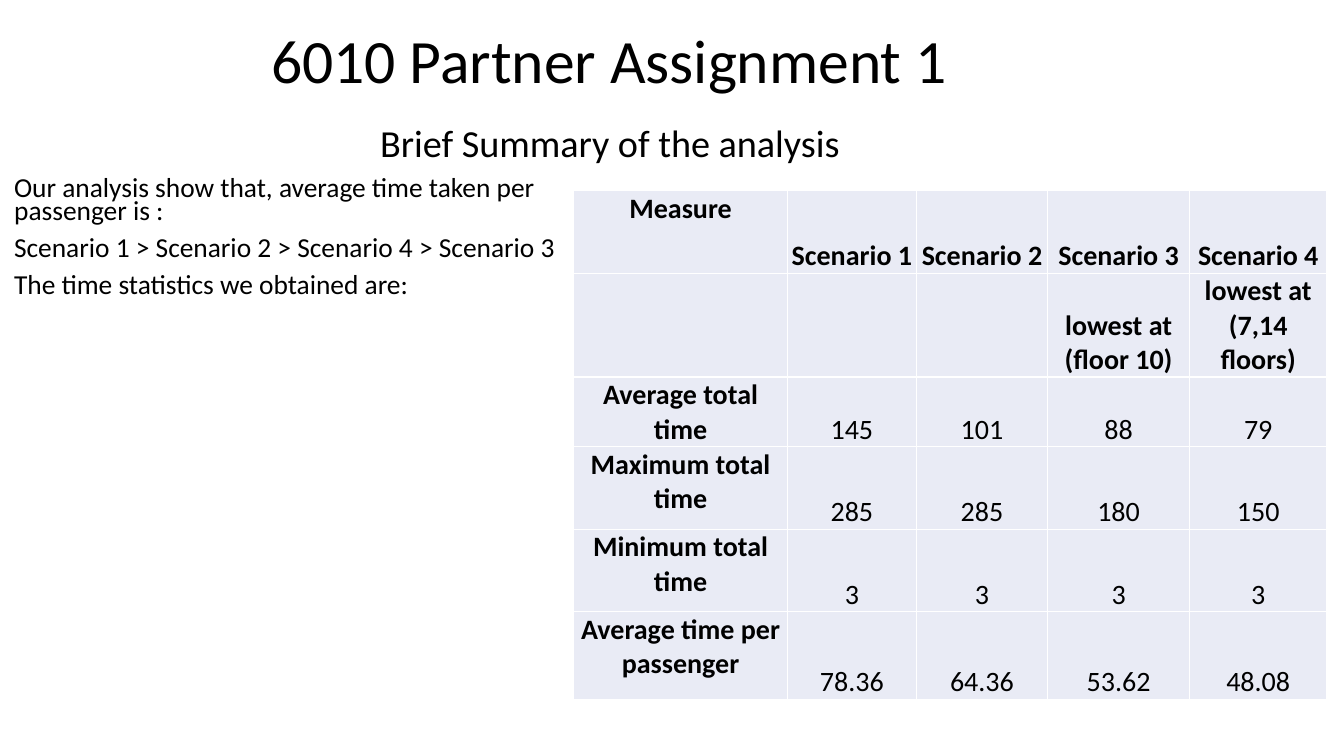
from lxml import etree
from pptx import Presentation
from pptx.dml.color import RGBColor
from pptx.enum.text import MSO_ANCHOR, MSO_AUTO_SIZE, PP_ALIGN
from pptx.oxml.ns import qn
from pptx.util import Inches, Pt

LEFT, CENTER = PP_ALIGN.LEFT, PP_ALIGN.CENTER
TOP, MIDDLE, BOTTOM = MSO_ANCHOR.TOP, MSO_ANCHOR.MIDDLE, MSO_ANCHOR.BOTTOM
NO_FIT = MSO_AUTO_SIZE.NONE
FONT, INK, PALE, WHITE = "Calibri", "000000", "E9EBF5", "FFFFFF"

NOTES = [
    "Our analysis show that, average time taken per passenger is :",
    "Scenario 1 > Scenario 2 > Scenario 4 > Scenario 3",
    "The time statistics we obtained are:",
]
COLS = [2.12, 1.28, 1.3, 1.41, 1.36]
ROWS = [0.82, 0.98, 0.66, 0.82, 0.82, 0.87]
STATS = [
    ["Measure", "Scenario 1", "Scenario 2", "Scenario 3", "Scenario 4"],
    ["", "", "", "lowest at (floor 10)", "lowest at (7,14 floors)"],
    ["Average total time", "145", "101", "88", "79"],
    ["Maximum total time", "285", "285", "180", "150"],
    ["Minimum total time", "3", "3", "3", "3"],
    ["Average time per passenger", "78.36", "64.36", "53.62", "48.08"],
]


def color(code):
    """Turn a hex string into a colour."""
    return RGBColor.from_string(code)


def write(frame, *lines, size=20, bold=False, align=CENTER, space=1.0, before=0):
    """Fill a text frame with one formatted paragraph per line."""
    frame.word_wrap = True
    for i, line in enumerate(lines):
        para = frame.paragraphs[0] if i == 0 else frame.add_paragraph()
        para.alignment = align
        para.line_spacing = space
        para.space_before = Pt(before)
        run = para.add_run()
        run.text = line
        font = run.font
        font.name, font.size, font.bold = FONT, Pt(size), bold
        font.color.rgb = color(INK)


def place(shape, left, top, width, height, anchor=MIDDLE):
    """Move a text shape, fix its size and return its frame."""
    shape.left, shape.top = Inches(left), Inches(top)
    shape.width, shape.height = Inches(width), Inches(height)
    frame = shape.text_frame
    frame.auto_size = NO_FIT
    frame.vertical_anchor = anchor
    return frame


def unmark(frame):
    """Take bullets and indents off every paragraph."""
    for para in frame.paragraphs:
        props = para._p.get_or_add_pPr()
        props.set("marL", "0")
        props.set("indent", "0")
        etree.SubElement(props, qn("a:buNone"))


def border(cell, code, width):
    """Draw a solid line on all four sides of a cell."""
    props = cell._tc.get_or_add_tcPr()
    for i, side in enumerate(["lnL", "lnR", "lnT", "lnB"]):
        line = etree.Element(qn(f"a:{side}"), w=str(Pt(width)))
        fill = etree.SubElement(line, qn("a:solidFill"))
        etree.SubElement(fill, qn("a:srgbClr"), val=code)
        props.insert(i, line)


def add_stats(slide, left, top):
    """Add the table of time statistics."""
    table = slide.shapes.add_table(
        len(ROWS), len(COLS), Inches(left), Inches(top),
        Inches(sum(COLS)), Inches(sum(ROWS))).table
    table.first_row = table.horz_banding = False
    for col, width in zip(table.columns, COLS):
        col.width = Inches(width)
    for row, height in zip(table.rows, ROWS):
        row.height = Inches(height)
    for r, texts in enumerate(STATS):
        for c, text in enumerate(texts):
            cell = table.cell(r, c)
            cell.fill.solid()
            cell.fill.fore_color.rgb = color(PALE)
            border(cell, WHITE, 1)
            cell.margin_left = cell.margin_right = cell.margin_top = Inches(0.01)
            cell.margin_bottom = 0
            cell.vertical_anchor = TOP if c == 0 else BOTTOM
            if text:
                write(cell.text_frame, text, bold=r < 2 or c == 0)


def main():
    """Build the slide and save it."""
    deck = Presentation()
    deck.slide_width, deck.slide_height = Inches(13.33), Inches(7.5)
    slide = deck.slides.add_slide(deck.slide_layouts[1])
    title = place(slide.shapes.title, 0, -0.02, 12.09, 1.3)
    write(title, "6010 Partner Assignment 1", size=44, space=0.9)
    body = place(slide.placeholders[1], 0.04, 1.73, 5.72, 1.94, TOP)
    write(body, *NOTES, size=19.6, align=LEFT, space=0.7, before=10)
    unmark(body)
    box = slide.shapes.add_textbox(0, 0, 0, 0)
    brief = place(box, 2.53, 1.04, 7.04, 0.79)
    write(brief, "Brief Summary of the analysis", size=27.3, space=0.9)
    add_stats(slide, 5.69, 1.89)
    deck.save("out.pptx")


main()
